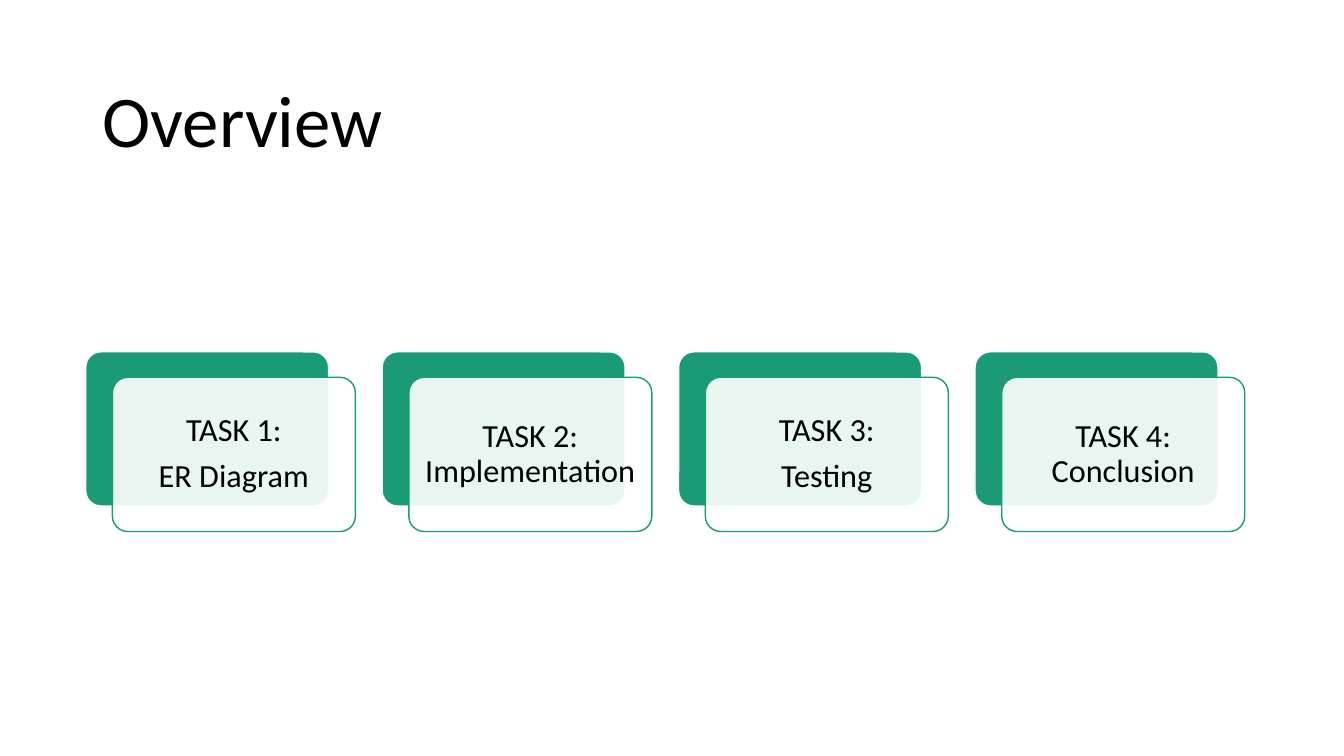
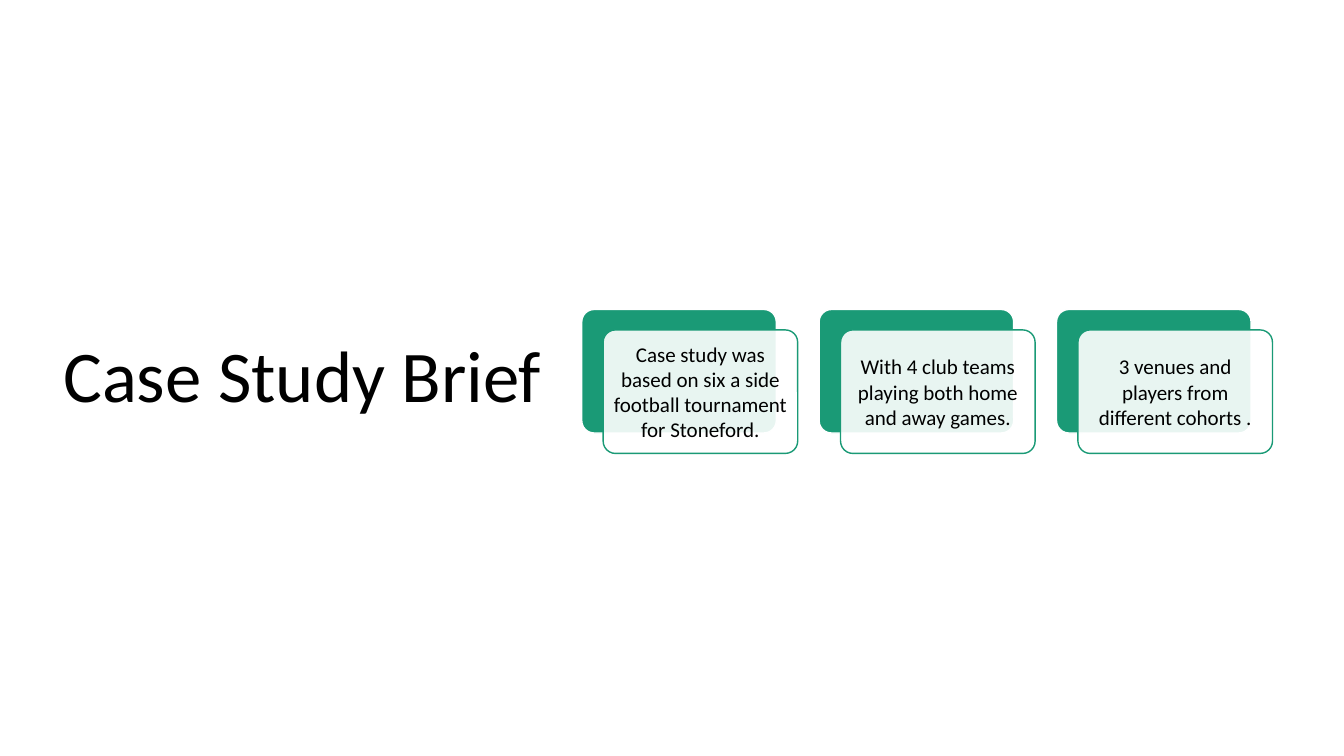
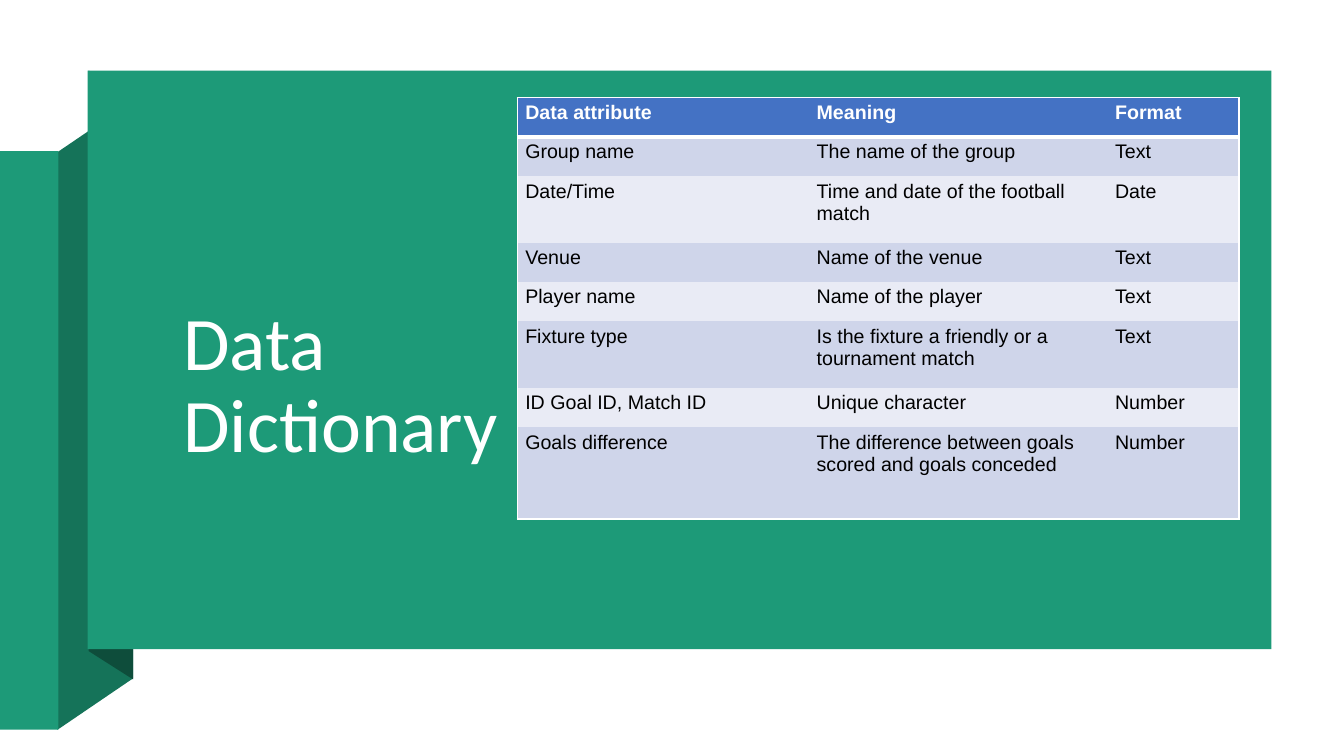
"""Build the overview, case study and data dictionary slides."""
from dataclasses import dataclass

from lxml.etree import SubElement
from pptx import Presentation
from pptx.dml.color import RGBColor
from pptx.enum.shapes import MSO_SHAPE
from pptx.enum.text import MSO_ANCHOR, PP_ALIGN
from pptx.oxml.ns import qn
from pptx.util import Inches, Pt


@dataclass(frozen=True)
class Theme:
    """Colours, fonts and type sizes shared by the slides."""

    green: str = "1A9A76"
    panel: str = "1D9A78"
    fold: str = "157359"
    fold_shadow: str = "0E4D3B"
    white: str = "FFFFFF"
    black: str = "000000"
    header: str = "4472C4"
    bands: tuple = ("CFD5EA", "E9EBF5")
    font: str = "Calibri"
    table_font: str = "Arial"
    title_size: int = 52
    panel_title_size: int = 54
    task_size: int = 23
    brief_size: int = 15
    table_size: int = 14


THEME = Theme()

TASKS = ["TASK 1:\nER Diagram", "TASK 2: Implementation", "TASK 3:\nTesting", "TASK 4: Conclusion"]

BRIEF = [
    "Case study was based on six a side football tournament for Stoneford.",
    "With 4 club teams playing both home and away games.",
    "3 venues and players from different cohorts .",
]

COLUMN_WIDTHS = [2.89, 2.96, 1.31]
ROW_HEIGHTS = [0.39, 0.39, 0.66, 0.39, 0.39, 0.66, 0.39, 0.91]
DICTIONARY = [
    ("Data attribute", "Meaning", "Format"),
    ("Group name", "The name of the group", "Text"),
    ("Date/Time", "Time and date of the football match", "Date"),
    ("Venue", "Name of the venue", "Text"),
    ("Player name", "Name of the player", "Text"),
    ("Fixture type", "Is the fixture a friendly or a tournament match", "Text"),
    ("ID Goal ID, Match ID", "Unique character", "Number"),
    ("Goals difference", "The difference between goals scored and goals conceded", "Number"),
]


def write_text(frame, text, *, size, color=THEME.black, font=THEME.font, bold=False,
               align=PP_ALIGN.LEFT, line_spacing=1.0, space_before=0):
    """Fill a text frame with one formatted paragraph per line of text."""
    frame.word_wrap = True
    for index, line in enumerate(text.split("\n")):
        paragraph = frame.add_paragraph() if index else frame.paragraphs[0]
        paragraph.alignment = align
        paragraph.line_spacing = line_spacing
        paragraph.space_before = Pt(space_before if index else 0)
        run = paragraph.add_run()
        run.text = line
        run.font.size = Pt(size)
        run.font.name = font
        run.font.bold = bold
        run.font.color.rgb = RGBColor.from_string(color)


def set_margins(target, horizontal, vertical):
    """Set the side margins and the top and bottom margins of a frame or cell."""
    target.margin_left = target.margin_right = Inches(horizontal)
    target.margin_top = target.margin_bottom = Inches(vertical)


def add_title(slide, text, box, *, size=THEME.title_size, color=THEME.black,
              anchor=MSO_ANCHOR.MIDDLE):
    """Add a slide title in the shared title style."""
    frame = slide.shapes.add_textbox(*map(Inches, box)).text_frame
    set_margins(frame, 0.1, 0.05)
    frame.vertical_anchor = anchor
    write_text(frame, text, size=size, color=color, line_spacing=0.9)


def paint(shape, fill, line=None):
    """Give a shape a flat fill and an optional thin outline."""
    shape.shadow.inherit = False
    shape.fill.solid()
    shape.fill.fore_color.rgb = RGBColor.from_string(fill)
    if line:
        shape.line.color.rgb = RGBColor.from_string(line)
        shape.line.width = Pt(1)
    else:
        shape.line.fill.background()


def add_block(slide, box, fill, *, line=None, kind=MSO_SHAPE.RECTANGLE):
    """Add a painted preset shape."""
    shape = slide.shapes.add_shape(kind, *map(Inches, box))
    paint(shape, fill, line)
    if kind == MSO_SHAPE.ROUNDED_RECTANGLE:
        shape.adjustments[0] = 0.1
    return shape


def add_polygon(slide, points, fill):
    """Add a closed painted outline through the points."""
    corners = [(Inches(x), Inches(y)) for x, y in points]
    builder = slide.shapes.build_freeform(*corners[0])
    builder.add_line_segments(corners[1:], close=True)
    paint(builder.convert_to_shape(), fill)


def set_opacity(shape, percent):
    """Set the opacity of a solid shape fill."""
    color = shape.fill._xPr.find(qn("a:solidFill"))[0]
    SubElement(color, qn("a:alpha")).set("val", str(percent * 1000))


def add_cards(slide, texts, left, top, width, *, margin, **text_format):
    """Add a row of text cards, each overlapping a green backing card."""
    height = width * 0.635
    for index, text in enumerate(texts):
        x = left + index * width * 1.22
        add_block(slide, (x, top, width, height), THEME.green, line=THEME.white,
                  kind=MSO_SHAPE.ROUNDED_RECTANGLE)
        card = add_block(slide, (x + width * 0.11, top + width * 0.105, width, height),
                         THEME.white, line=THEME.green, kind=MSO_SHAPE.ROUNDED_RECTANGLE)
        set_opacity(card, 90)
        set_margins(card.text_frame, margin, margin)
        card.text_frame.vertical_anchor = MSO_ANCHOR.MIDDLE
        write_text(card.text_frame, text, align=PP_ALIGN.CENTER, **text_format)


def set_borders(cell, **widths):
    """Draw white cell borders of the given point widths, with zero for none."""
    properties = cell._tc.get_or_add_tcPr()
    for side in "LRTB":
        width = widths.get(side, 0)
        border = SubElement(properties, qn(f"a:ln{side}"), w=str(Pt(width)))
        if width:
            fill = SubElement(border, qn("a:solidFill"))
            SubElement(fill, qn("a:srgbClr"), val=THEME.white)
        else:
            SubElement(border, qn("a:noFill"))


def add_dictionary_table(slide, left, top):
    """Add the banded data dictionary table."""
    last_row, last_column = len(ROW_HEIGHTS) - 1, len(COLUMN_WIDTHS) - 1
    box = (left, top, sum(COLUMN_WIDTHS), sum(ROW_HEIGHTS))
    table = slide.shapes.add_table(last_row + 1, last_column + 1, *map(Inches, box)).table
    for column, width in zip(table.columns, COLUMN_WIDTHS):
        column.width = Inches(width)
    for row, height in zip(table.rows, ROW_HEIGHTS):
        row.height = Inches(height)
    for row_index, values in enumerate(DICTIONARY):
        is_header = row_index == 0
        fill = THEME.header if is_header else THEME.bands[(row_index - 1) % 2]
        for column_index, value in enumerate(values):
            cell = table.cell(row_index, column_index)
            set_borders(cell, L=int(column_index == 0), R=int(column_index == last_column),
                        T={0: 1, 1: 3}.get(row_index, 0),
                        B={0: 3, last_row: 1}.get(row_index, 0))
            cell.fill.solid()
            cell.fill.fore_color.rgb = RGBColor.from_string(fill)
            set_margins(cell, 0.08, 0.04)
            write_text(cell.text_frame, value, size=THEME.table_size, font=THEME.table_font,
                       bold=is_header, color=THEME.white if is_header else THEME.black)


def add_ribbon(slide):
    """Add the folded green ribbon that carries the data dictionary."""
    add_polygon(slide, [(0.57, 7.24), (1.32, 6.73), (1.32, 1), (0.57, 1.51)], THEME.fold)
    add_block(slide, (0, 1.5, 0.58, 5.74), THEME.panel)
    add_polygon(slide, [(0.88, 6.46), (1.32, 6.74), (1.32, 0.99), (0.88, 0.7)],
                THEME.fold_shadow)
    add_block(slide, (0.87, 0.7, 11.74, 5.74), THEME.panel)


def main():
    """Build and save the presentation."""
    presentation = Presentation()
    presentation.slide_width, presentation.slide_height = Inches(13.33), Inches(7.5)
    blank = presentation.slide_layouts[6]

    overview = presentation.slides.add_slide(blank)
    add_title(overview, "Overview", (0.92, 0.61, 11.5, 1.24))
    add_cards(overview, TASKS, 0.85, 3.49, 2.41, margin=0.1, size=THEME.task_size,
              line_spacing=0.9, space_before=8.1)

    case_study = presentation.slides.add_slide(blank)
    add_title(case_study, "Case Study Brief", (0.53, 0.71, 5.24, 6.09))
    add_cards(case_study, BRIEF, 5.77, 3.07, 1.93, margin=0.06, size=THEME.brief_size)

    dictionary = presentation.slides.add_slide(blank)
    add_ribbon(dictionary)
    add_title(dictionary, "Data Dictionary", (1.72, 1.22, 4.59, 3.48),
              size=THEME.panel_title_size, color=THEME.white, anchor=MSO_ANCHOR.BOTTOM)
    add_dictionary_table(dictionary, 5.13, 0.97)

    presentation.save("out.pptx")


if __name__ == "__main__":
    main()
